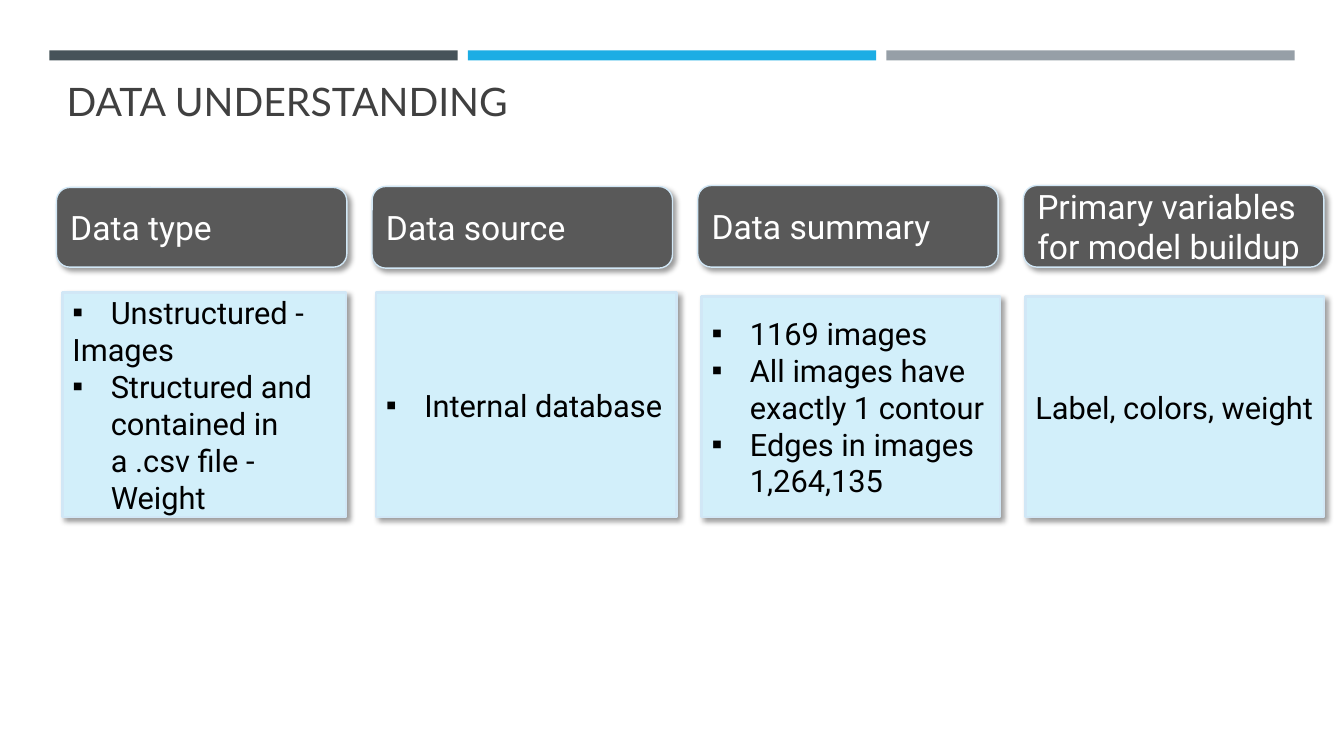
from lxml import etree
from pptx import Presentation
from pptx.dml.color import RGBColor
from pptx.enum.shapes import MSO_SHAPE
from pptx.enum.text import MSO_ANCHOR, PP_ALIGN
from pptx.oxml.ns import qn
from pptx.util import Inches, Pt

# Content: each body line is (text, has a bullet)
TITLE = "DATA UNDERSTANDING"
COLUMNS = [
    ("Data type", [
        ("Unstructured -", True),
        ("Images", False),
        ("Structured and contained in a .csv file - Weight", True),
    ]),
    ("Data source", [("Internal database", True)]),
    ("Data summary", [
        ("1169 images", True),
        ("All images have exactly 1 contour", True),
        ("Edges in images 1,264,135", True),
    ]),
    ("Primary variables for model buildup", [("Label, colors, weight", False)]),
]

# Left, top, width, height in inches
HEADER_BOXES = [
    (0.56, 1.86, 2.88, 0.79),
    (3.69, 1.85, 2.98, 0.81),
    (6.92, 1.84, 2.98, 0.81),
    (10.15, 1.84, 2.98, 0.81),
]
BODY_BOXES = [
    (0.62, 2.9, 2.81, 2.23),
    (3.73, 2.9, 2.98, 2.23),
    (6.96, 2.94, 2.96, 2.19),
    (10.17, 2.94, 2.96, 2.19),
]

WHITE = RGBColor(0xFF, 0xFF, 0xFF)
BLACK = RGBColor(0x00, 0x00, 0x00)
TITLE_GRAY = RGBColor(0x40, 0x40, 0x40)
HEADER_GRAY = RGBColor(0x59, 0x59, 0x59)
BODY_BLUE = RGBColor(0xD2, 0xEF, 0xFA)
OUTLINE_BLUE = RGBColor(0xD1, 0xE7, 0xF6)
BAR_COLORS = [
    RGBColor(0x46, 0x53, 0x59),
    RGBColor(0x1C, 0xAD, 0xE4),
    RGBColor(0x96, 0x9F, 0xA7),
]
BAR_LEFT, BAR_TOP, BAR_WIDTH, BAR_HEIGHT, BAR_STEP = 0.49, 0.5, 4.05, 0.1, 4.15
BULLET_INDENT = Inches(0.38)


def add_box(slide, kind, box, fill):
    shape = slide.shapes.add_shape(kind, *map(Inches, box))
    shape.shadow.inherit = False
    shape.fill.solid()
    shape.fill.fore_color.rgb = fill
    shape.line.fill.background()
    return shape


def add_shadow(shape):
    effects = shape._element.spPr.find(qn("a:effectLst"))
    shadow = etree.SubElement(
        effects, qn("a:outerShdw"), blurRad=str(Pt(4)), dist=str(Pt(3)),
        dir=str(45 * 60000), algn="tl", rotWithShape="0")
    color = etree.SubElement(shadow, qn("a:srgbClr"), val="000000")
    etree.SubElement(color, qn("a:alpha"), val="40000")


def add_bullet(paragraph):
    properties = paragraph._p.get_or_add_pPr()
    properties.set("marL", str(BULLET_INDENT))
    properties.set("indent", str(-BULLET_INDENT))
    etree.SubElement(properties, qn("a:buFont"), typeface="Arial")
    etree.SubElement(properties, qn("a:buChar"), char="▪")


def format_font(paragraph, name, size, color):
    for run in paragraph.runs:
        run.font.name = name
        run.font.size = Pt(size)
        run.font.color.rgb = color


def add_card(slide, kind, box, fill, line_width, lines, size, color):
    shape = add_box(slide, kind, box, fill)
    shape.line.color.rgb = OUTLINE_BLUE
    shape.line.width = Pt(line_width)
    add_shadow(shape)
    text_frame = shape.text_frame
    text_frame.word_wrap = True
    text_frame.vertical_anchor = MSO_ANCHOR.MIDDLE
    text_frame.text = "\n".join(text for text, _ in lines)
    for paragraph, (_, bulleted) in zip(text_frame.paragraphs, lines):
        paragraph.alignment = PP_ALIGN.LEFT
        format_font(paragraph, "Roboto", size, color)
        if bulleted:
            add_bullet(paragraph)


def main():
    presentation = Presentation()
    presentation.slide_width = Inches(13.33)
    presentation.slide_height = Inches(7.5)
    slide = presentation.slides.add_slide(presentation.slide_layouts[5])

    # Colour bars along the top
    for index, color in enumerate(BAR_COLORS):
        left = BAR_LEFT + index * BAR_STEP
        add_box(slide, MSO_SHAPE.RECTANGLE,
                (left, BAR_TOP, BAR_WIDTH, BAR_HEIGHT), color)

    # Title
    title = slide.shapes.title
    title.left, title.top = Inches(0.56), Inches(0.72)
    title.width, title.height = Inches(12.49), Inches(0.93)
    title.text_frame.text = TITLE
    title.text_frame.vertical_anchor = MSO_ANCHOR.TOP
    heading = title.text_frame.paragraphs[0]
    heading.alignment = PP_ALIGN.LEFT
    format_font(heading, "Lato", 28, TITLE_GRAY)

    # Header and body of each column
    for (header, lines), header_box, body_box in zip(
            COLUMNS, HEADER_BOXES, BODY_BOXES):
        add_card(slide, MSO_SHAPE.ROUNDED_RECTANGLE, header_box, HEADER_GRAY,
                 1, [(header, False)], 24, WHITE)
        add_card(slide, MSO_SHAPE.RECTANGLE, body_box, BODY_BLUE,
                 1.75, lines, 22, BLACK)

    presentation.save("out.pptx")


if __name__ == "__main__":
    main()
